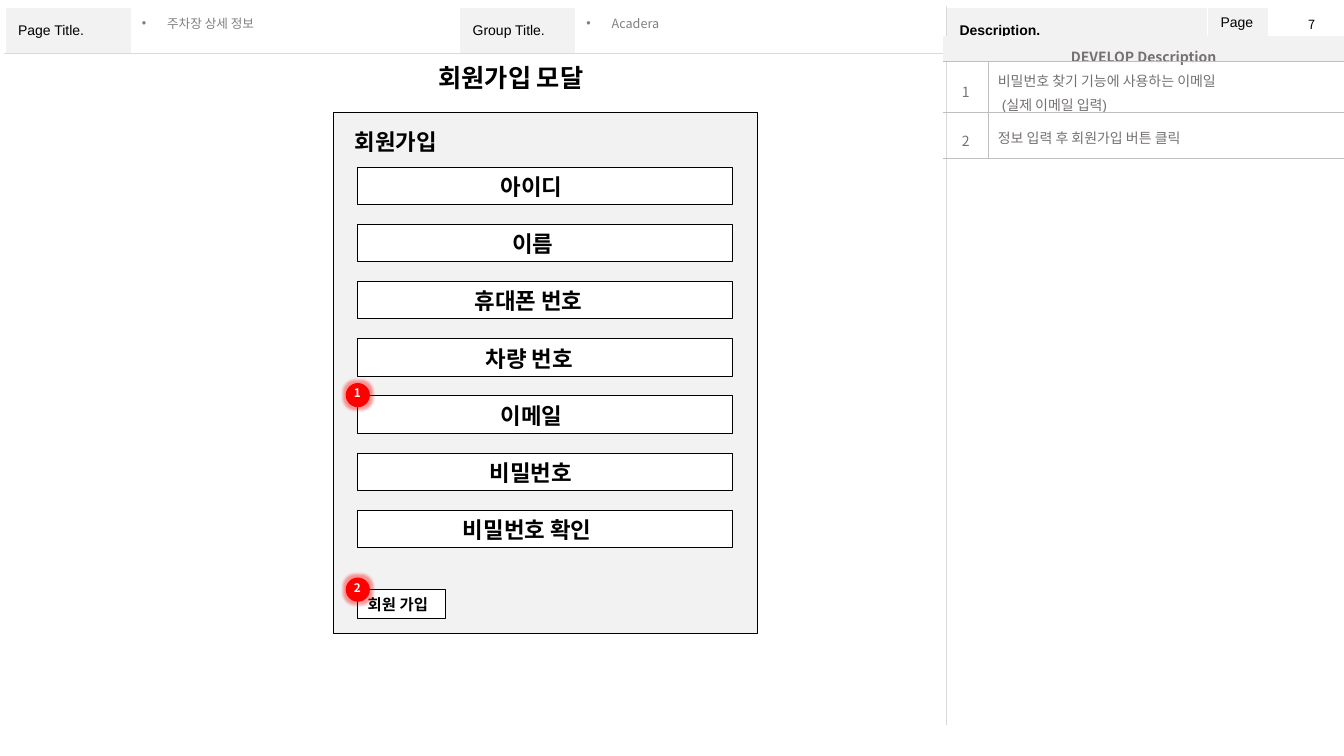
from lxml import etree
from pptx import Presentation
from pptx.dml.color import RGBColor
from pptx.enum.shapes import MSO_SHAPE
from pptx.enum.text import MSO_ANCHOR, PP_ALIGN
from pptx.oxml.ns import qn
from pptx.util import Inches, Pt

RECTANGLE, OVAL = MSO_SHAPE.RECTANGLE, MSO_SHAPE.OVAL
TOP, MIDDLE = MSO_ANCHOR.TOP, MSO_ANCHOR.MIDDLE
LEFT, CENTER, JUSTIFY = PP_ALIGN.LEFT, PP_ALIGN.CENTER, PP_ALIGN.JUSTIFY
KOREAN, LATIN = "Noto Sans CJK KR", "Arial"
CELL = 0.1
COLORS = {
    "black": "000000", "white": "FFFFFF", "panel": "F2F2F2", "red": "FF0000",
    "hint": "808080", "note": "767171", "rule": "BFBFBF", "frame": "D9D9D9",
}


def grid(*values):
    return [Inches(value * CELL) for value in values]


def color(name):
    return RGBColor.from_string(COLORS[name])


def write(frame, text, size=16, font=KOREAN, ink="black", bold=False, align=LEFT,
          line=1.0, before=0, bullet=False):
    for index, content in enumerate(text.split("\n")):
        paragraph = frame.add_paragraph() if index else frame.paragraphs[0]
        paragraph.alignment = align
        paragraph.line_spacing = line
        paragraph.space_before = Pt(before)
        if bullet:
            properties = paragraph._p.get_or_add_pPr()
            properties.set("marL", str(Inches(0.25)))
            properties.set("indent", str(-Inches(0.25)))
            etree.SubElement(properties, qn("a:buFont"), typeface=LATIN)
            etree.SubElement(properties, qn("a:buChar"), char="•")
        run = paragraph.add_run()
        run.text = content
        run.font.size = Pt(size)
        run.font.name = font
        run.font.bold = bold
        run.font.color.rgb = color(ink)
        etree.SubElement(run._r.get_or_add_rPr(), qn("a:ea"), typeface=KOREAN)


def set_borders(cell, **borders):
    properties = cell._tc.get_or_add_tcPr()
    for index, side in enumerate("LRTB"):
        name, width = borders.get(side, (None, 0))
        edge = etree.Element(qn(f"a:ln{side}"), w=str(Pt(width)))
        if name:
            fill = etree.SubElement(edge, qn("a:solidFill"))
            etree.SubElement(fill, qn("a:srgbClr"), val=COLORS[name])
        else:
            etree.SubElement(edge, qn("a:noFill"))
        properties.insert(index, edge)


class Wireframe:
    def __init__(self, presentation):
        self.slide = presentation.slides.add_slide(presentation.slide_layouts[5])
        self.shapes = self.slide.shapes

    def title(self, text, place, **style):
        shape = self.slide.shapes.title
        shape.left, shape.top, shape.width, shape.height = grid(*place)
        shape.text_frame.word_wrap = False
        shape.text_frame.vertical_anchor = TOP
        write(shape.text_frame, text, **style)

    def text(self, text, place, wrap=False, anchor=TOP, **style):
        frame = self.shapes.add_textbox(*grid(*place)).text_frame
        frame.word_wrap = wrap
        frame.vertical_anchor = anchor
        write(frame, text, **style)

    def shape(self, kind, place, fill, outline=None):
        shape = self.shapes.add_shape(kind, *grid(*place))
        shape.shadow.inherit = False
        shape.fill.solid()
        shape.fill.fore_color.rgb = color(fill)
        if outline:
            shape.line.color.rgb = color(outline)
            shape.line.width = Pt(0.75)
        else:
            shape.line.fill.background()
        return shape

    def button(self, text, place, **style):
        frame = self.shape(RECTANGLE, place, "white", "black").text_frame
        frame.word_wrap = False
        frame.vertical_anchor = TOP
        write(frame, text, **style)

    def marker(self, number, left, top):
        self.shapes = self.slide.shapes.add_group_shape().shapes
        circle = self.shape(OVAL, (left, top, 2.4, 2.4), "red")
        effects = circle._element.spPr.find(qn("a:effectLst"))
        glow = etree.SubElement(effects, qn("a:glow"), rad=str(Pt(4)))
        tint = etree.SubElement(glow, qn("a:srgbClr"), val=COLORS["red"])
        etree.SubElement(tint, qn("a:alpha"), val="40000")
        self.text(number, (left - 1.4, top - 0.2, 5.1, 2.4), wrap=True,
                  size=8.4, ink="white", bold=True, align=CENTER)
        self.shapes = self.slide.shapes

    def table(self, left, top, columns, rows):
        place = grid(left, top, sum(columns), sum(rows))
        table = self.shapes.add_table(len(rows), len(columns), *place).table
        table.first_row = table.horz_banding = False
        for column, width in zip(table.columns, grid(*columns)):
            column.width = width
        for row, height in zip(table.rows, grid(*rows)):
            row.height = height
        for cell in table.iter_cells():
            cell.fill.background()
        return table

    def cell(self, cell, text, margins=(1, 0.5), fill=None, **style):
        cell.margin_left = cell.margin_right = Inches(margins[0] * CELL)
        cell.margin_top = cell.margin_bottom = Inches(margins[1] * CELL)
        cell.vertical_anchor = MIDDLE
        if fill:
            cell.fill.solid()
            cell.fill.fore_color.rgb = color(fill)
        write(cell.text_frame, text, size=10, **style)

    def header(self):
        table = self.table(0.5, 0.7, (12.6, 32.5, 11.5, 36.8, 25.9, 6.1, 6.8), (4.6, 66.7))
        table.cell(1, 0).merge(table.cell(1, 3))
        table.cell(1, 4).merge(table.cell(1, 6))
        labels = {0: "Page Title.", 2: "Group Title.", 4: "Description.", 5: "Page."}
        for column, label in labels.items():
            self.cell(table.cell(0, column), label, (1.3, 0.7), "panel",
                      font=LATIN, bold=column == 4)
        white, gray = ("white", 1), ("frame", 0.25)
        for row in range(2):
            for column in range(7):
                divided = column == 3 or (row == 1 and column < 3)
                set_borders(table.cell(row, column),
                            L=gray if column == 4 else white,
                            R=gray if divided else white,
                            T=gray if row else white,
                            B=white if row else gray)

    def descriptions(self, heading, notes):
        table = self.table(93.6, 3.6, (4.4, 35.3), (2.3, 4.8, 4.6, 4.6, 4.6, 9.2))
        for row in (0, 3, 4, 5):
            table.cell(row, 0).merge(table.cell(row, 1))
        self.cell(table.cell(0, 0), heading, (1.2, 0), "panel",
                  ink="note", bold=True, align=CENTER, line=1.5)
        for row, note in enumerate(notes, 1):
            self.cell(table.cell(row, 0), str(row), (1.2, 0.6),
                      ink="note", align=CENTER, line=1.5)
            self.cell(table.cell(row, 1), note, font=LATIN,
                      ink="note", align=JUSTIFY, line=1.2)
        rule = ("rule", 0.25)
        for row in range(6):
            for column in range(2):
                borders = {}
                if row <= len(notes):
                    borders["B"] = rule
                if 0 < row <= len(notes) + 1:
                    borders["T"] = rule
                if 0 < row <= len(notes):
                    borders["R" if column == 0 else "L"] = rule
                set_borders(table.cell(row, column), **borders)


def main():
    presentation = Presentation()
    presentation.slide_width, presentation.slide_height = grid(133.33, 75)
    page = Wireframe(presentation)
    page.header()
    for text, left, width in (("주차장 상세 정보", 13.1, 32.4), ("Acadera", 57.2, 36.4)):
        page.text(text, (left, 1.2, width, 2.4), wrap=True, anchor=MIDDLE,
                  size=9, ink="hint", line=0.9, before=10, bullet=True)
    page.text("7", (128.8, 1.2, 2.7, 2.5), size=9)
    page.descriptions("DEVELOP Description", (
        "비밀번호 찾기 기능에 사용하는 이메일\n (실제 이메일 입력)",
        "정보 입력 후 회원가입 버튼 클릭",
    ))
    page.title("회원가입 모달", (42.5, 5.7, 18.1, 4), size=18, bold=True)
    page.shape(RECTANGLE, (33.1, 11.2, 42.1, 51.7), "panel", "black")
    page.text("회원가입", (34.2, 12.2, 11, 3.7), bold=True)
    fields = (("아이디", 8.8), ("이름", 6.5), ("휴대폰 번호", 14), ("차량 번호", 11.8),
              ("이메일", 8.8), ("비밀번호", 11), ("비밀번호 확인", 16.3))
    for index, (label, width) in enumerate(fields):
        top = 16.6 + 5.67 * index
        page.shape(RECTANGLE, (35.45, top, 37.2, 3.7), "white", "black")
        page.text(label, (53.1 - width / 2, top + 0.1, width, 3.7), bold=True)
    page.button("회원 가입", (35.5, 58.5, 8.7, 2.9), size=11, bold=True)
    page.marker("1", 34.3, 38)
    page.marker("2", 34.3, 57.3)
    presentation.save("out.pptx")


if __name__ == "__main__":
    main()
